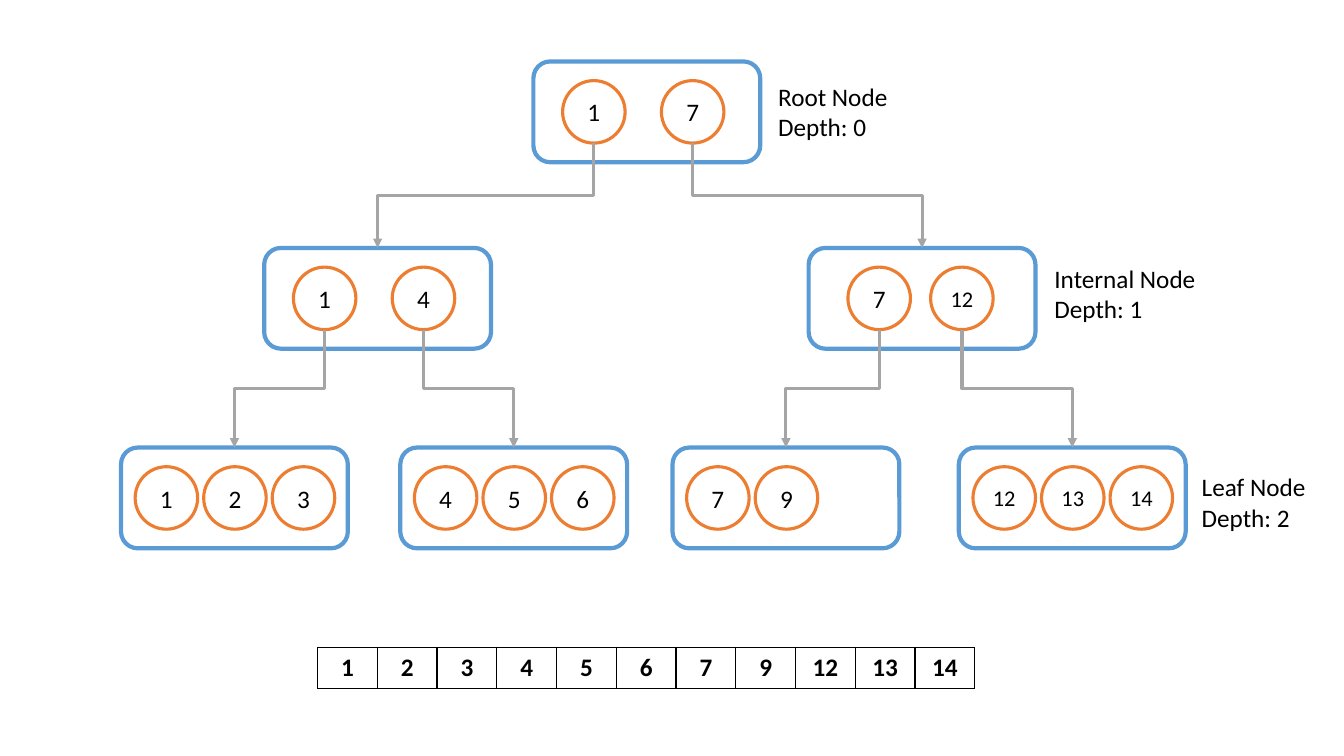
from lxml import etree
from pptx import Presentation
from pptx.dml.color import RGBColor
from pptx.enum.shapes import MSO_CONNECTOR, MSO_SHAPE
from pptx.enum.text import MSO_ANCHOR, PP_ALIGN
from pptx.oxml.ns import qn
from pptx.util import Inches, Pt

ELBOW = MSO_CONNECTOR.ELBOW
ROUNDED, CIRCLE = MSO_SHAPE.ROUNDED_RECTANGLE, MSO_SHAPE.OVAL
CENTER, LEFT = PP_ALIGN.CENTER, PP_ALIGN.LEFT
MIDDLE = MSO_ANCHOR.MIDDLE

COLUMNS, ROWS = 13.33, 7.5
NODE_WIDTH, NODE_HEIGHT = 2.25, 1
KEY_SIZE, KEY_DROP = 0.62, 0.19
LEVEL_TOPS = [0.61, 2.46, 4.44]
BLUE, ORANGE, GRAY, BLACK = "5B9BD5", "ED7D31", "A5A5A5", "000000"

# name: (level, left, inset of first key, key pitch, keys)
NODES = {
    "root": (0, 5.29, 0.29, 0.98, [1, 7]),
    "internal 1": (1, 2.62, 0.29, 0.98, [1, 4]),
    "internal 7": (1, 8.02, 0.39, 0.82, [7, 12]),
    "leaf 1": (2, 1.2, 0.14, 0.68, [1, 2, 3]),
    "leaf 4": (2, 3.97, 0.14, 0.68, [4, 5, 6]),
    "leaf 7": (2, 6.67, 0.14, 0.68, [7, 9]),
    "leaf 12": (2, 9.51, 0.14, 0.68, [12, 13, 14]),
}
CHILDREN = {
    "root": ["internal 1", "internal 7"],
    "internal 1": ["leaf 1", "leaf 4"],
    "internal 7": ["leaf 7", "leaf 12"],
}
LABELS = [
    ("Root Node\nDepth: 0", 7.62, 0.76, 1.3),
    ("Internal Node\nDepth: 1", 10.36, 2.56, 1.67),
    ("Leaf Node\nDepth: 2", 11.82, 4.63, 1.25),
]


def color(value):
    """Turn a hex string into a colour."""
    return RGBColor.from_string(value)


class TreeSlide:
    """Holds the style and the slide, and draws the parts of the tree."""

    font_name = "Calibri"
    font_size = 18

    def __init__(self, presentation):
        """Add a blank slide and measure its grid cell."""
        self.slide = presentation.slides.add_slide(presentation.slide_layouts[6])
        self.shapes = self.slide.shapes
        self.column = presentation.slide_width / COLUMNS
        self.row = presentation.slide_height / ROWS

    def place(self, left, top, width, height):
        """Convert grid columns and rows to slide lengths."""
        return (round(left * self.column), round(top * self.row),
                round(width * self.column), round(height * self.row))

    def set_text(self, text_frame, text, align, size=font_size, bold=False):
        """Set the text and format its runs."""
        text_frame.text = text
        for paragraph in text_frame.paragraphs:
            paragraph.alignment = align
            for run in paragraph.runs:
                run.font.name = self.font_name
                run.font.size = Pt(size)
                run.font.bold = bold
                run.font.color.rgb = color(BLACK)

    def outline(self, kind, box, line_color, line_width):
        """Draw an unfilled preset shape."""
        shape = self.shapes.add_shape(kind, *self.place(*box))
        shape.shadow.inherit = False
        shape.fill.background()
        shape.line.color.rgb = color(line_color)
        shape.line.width = Pt(line_width)
        return shape

    def key(self, number, left, top):
        """Draw one numbered circle."""
        shape = self.outline(CIRCLE, (left, top, KEY_SIZE, KEY_SIZE), ORANGE, 2.25)
        frame = shape.text_frame
        frame.margin_left = frame.margin_right = 0
        frame.vertical_anchor = MIDDLE
        self.set_text(frame, str(number), CENTER, 16 if number > 9 else 18)
        return shape

    def node(self, level, left, inset, pitch, keys):
        """Draw a node and return its box with its key circles."""
        top = LEVEL_TOPS[level]
        box = self.outline(ROUNDED, (left, top, NODE_WIDTH, NODE_HEIGHT), BLUE, 3)
        circles = [self.key(number, left + inset + index * pitch, top + KEY_DROP)
                   for index, number in enumerate(keys)]
        return box, circles

    def label(self, text, left, top, width):
        """Add a label beside a level."""
        box = self.shapes.add_textbox(*self.place(left, top, width, 0.71))
        box.text_frame.word_wrap = False
        self.set_text(box.text_frame, text, LEFT)

    def arrow(self, key, child):
        """Join the bottom of a key to the top of a child, bending halfway."""
        start_x, start_y = key.left + key.width // 2, key.top + key.height
        end_x, end_y = child.left + child.width // 2, child.top
        connector = self.shapes.add_connector(ELBOW, start_x, start_y, end_x, end_y)
        connector.begin_connect(key, 3)
        connector.end_connect(child, 0)
        # An oval has eight connection sites; the fifth is its bottom.
        next(connector._element.iter(qn("a:stCxn"))).set("idx", "4")

        # The preset bends sideways first, so it is turned by a quarter.
        drop, shift = end_y - start_y, abs(end_x - start_x)
        connector.left = (start_x + end_x - drop) // 2
        connector.top = (start_y + end_y - shift) // 2
        connector.width, connector.height = drop, shift
        goes_left = end_x < start_x
        properties = connector._element.spPr
        frame = properties.find(qn("a:xfrm"))
        frame.set("rot", "5400000" if goes_left else "16200000")
        frame.set("flipH", "0" if goes_left else "1")
        frame.set("flipV", "0")

        connector.line.color.rgb = color(GRAY)
        connector.line.width = Pt(2.25)
        line = properties.find(qn("a:ln"))
        etree.SubElement(line, qn("a:tailEnd"), type="triangle")
        etree.SubElement(properties, qn("a:effectLst"))

    def borders(self, cell):
        """Give a cell thin black edges."""
        properties = cell._tc.get_or_add_tcPr()
        for side in ("lnL", "lnR", "lnT", "lnB"):
            line = etree.SubElement(properties, qn(f"a:{side}"), w=str(Pt(1)))
            fill = etree.SubElement(line, qn("a:solidFill"))
            etree.SubElement(fill, qn("a:srgbClr"), val=BLACK)

    def key_table(self, keys, left, top, width, height):
        """List the sorted keys in a one-row table."""
        box = self.place(left, top, width, height)
        table = self.shapes.add_table(1, len(keys), *box).table
        table.first_row = table.horz_banding = False
        for cell, number in zip(table.iter_cells(), keys):
            self.borders(cell)
            cell.fill.background()
            self.set_text(cell.text_frame, str(number), CENTER, bold=True)


def main():
    """Build and save the tree slide."""
    presentation = Presentation()
    presentation.slide_width, presentation.slide_height = Inches(COLUMNS), Inches(ROWS)
    tree = TreeSlide(presentation)
    nodes = {name: tree.node(*details) for name, details in NODES.items()}
    for label in LABELS:
        tree.label(*label)
    leaf_keys = [number for level, *_, keys in NODES.values() if level == 2
                 for number in keys]
    tree.key_table(leaf_keys, 3.15, 6.42, 6.52, 0.41)
    for parent, children in CHILDREN.items():
        for key, child in zip(nodes[parent][1], children):
            tree.arrow(key, nodes[child][0])
    presentation.save("out.pptx")


main()
